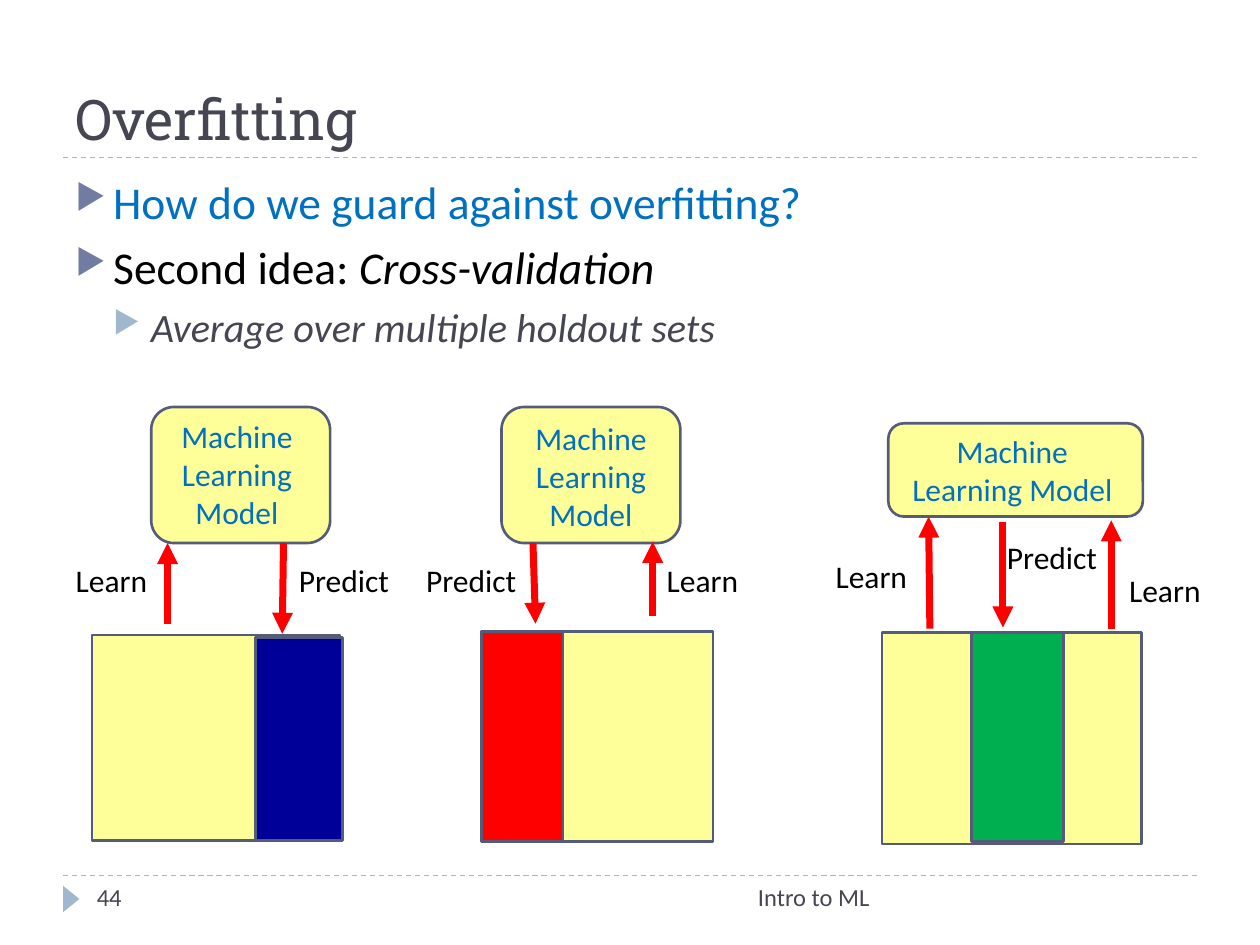
import dataclasses

import lxml.etree
import pptx
import pptx.dml.color
import pptx.enum.dml
import pptx.enum.shapes
import pptx.enum.text
import pptx.oxml.ns
import pptx.util

PX = 9144  # EMU in one px, 100 px to the inch
ALIGN = pptx.enum.text.PP_ALIGN
SHAPE = pptx.enum.shapes.MSO_SHAPE


@dataclasses.dataclass(frozen=True)
class Theme:
    body_font: str = "Calibri"
    title_font: str = "Roboto Slab"
    title_size: int = 32
    body_size: int = 26
    sub_size: int = 23
    label_size: int = 18
    footer_size: int = 14
    ink: str = "464653"
    black: str = "000000"
    blue: str = "0070C0"
    pale: str = "9FB8CD"
    bullet: str = "727CA3"
    outline: str = "545C79"
    yellow: str = "FFFF00"
    red: str = "FF0000"
    navy: str = "000099"
    green: str = "00B050"


T = Theme()


def rgb(color):
    return pptx.dml.color.RGBColor.from_string(color)


def add_xml(parent, tag, **attrs):
    return lxml.etree.SubElement(parent, pptx.oxml.ns.qn(tag), attrs)


def set_font(p, size, color, name=T.body_font):
    p.font.name, p.font.size = name, pptx.util.Pt(size)
    p.font.color.rgb = rgb(color)


def add_frame(s, x, y, w, h):
    tf = s.shapes.add_textbox(x * PX, y * PX, w * PX, h * PX).text_frame
    tf.word_wrap = True
    return tf


def add_text(s, x, y, w, h, text, size, color, align=ALIGN.LEFT, name=T.body_font):
    tf = add_frame(s, x, y, w, h)
    p = tf.paragraphs[0]
    p.text, p.alignment = text, align
    set_font(p, size, color, name)
    return tf


def add_box(s, kind, x, y, w, h, color, alpha=None, line=T.outline):
    sp = s.shapes.add_shape(kind, x * PX, y * PX, w * PX, h * PX)
    sp.shadow.inherit = False
    sp.fill.solid()
    sp.fill.fore_color.rgb = rgb(color)
    if alpha:
        clr = sp.fill._xPr.find(".//" + pptx.oxml.ns.qn("a:srgbClr"))
        add_xml(clr, "a:alpha", val=str(alpha * 1000))
    if line:
        sp.line.color.rgb = rgb(line)
        sp.line.width = pptx.util.Pt(1.5)
    else:
        sp.line.fill.background()
    return sp


def add_line(s, x1, y1, x2, y2, color, width):
    ln = s.shapes.add_connector(pptx.enum.shapes.MSO_CONNECTOR.STRAIGHT,
                                x1 * PX, y1 * PX, x2 * PX, y2 * PX)
    ln.line.color.rgb = rgb(color)
    ln.line.width = pptx.util.Pt(width)
    add_xml(ln._element.spPr, "a:effectLst")
    return ln


def add_rule(s, x, y, w):
    ln = add_line(s, x, y, x + w, y, T.pale, 0.75)
    ln.line.dash_style = pptx.enum.dml.MSO_LINE.DASH


def add_arrow(s, x1, y1, x2, y2):
    ln = add_line(s, x1, y1, x2, y2, T.red, 4)
    add_xml(ln.line._get_or_add_ln(), "a:tailEnd", type="triangle")


def add_title(s, x, y, w, h):
    tf = add_text(s, x, y, w, h, "Overfitting", T.title_size, T.ink, name=T.title_font)
    tf.vertical_anchor = pptx.enum.text.MSO_ANCHOR.BOTTOM
    add_rule(s, x, y + h, w)


def add_bullets(s, x, y, w, h):
    """Each item is level, size, colour, then runs of (text, italic)."""
    items = [
        (0, T.body_size, T.blue, [("How do we guard against overfitting?", False)]),
        (0, T.body_size, T.black, [("Second idea: ", False), ("Cross-validation", True)]),
        (1, T.sub_size, T.ink, [("Average over multiple holdout sets", True)]),
    ]
    tf = add_frame(s, x, y, w, h)
    for i, (level, size, color, runs) in enumerate(items):
        p = tf.add_paragraph() if i else tf.paragraphs[0]
        p.level = level
        p.space_before = pptx.util.Pt(6 - level)
        pPr = p._p.get_or_add_pPr()
        pPr.set("marL", str(30 * (level + 1) * PX))
        pPr.set("indent", str(-30 * PX))
        clr = add_xml(pPr, "a:buClr")
        add_xml(clr, "a:srgbClr", val=T.pale if level else T.bullet)
        add_xml(pPr, "a:buSzPct", val="76000")
        add_xml(pPr, "a:buChar", char="▶")
        set_font(p, size, color)
        for text, italic in runs:
            r = p.add_run()
            r.text, r.font.italic = text, italic


def add_fold(s, x, y, model, caption, flows, data, holdout, color):
    """A model above its data; all parts are offsets from (x, y).

    A flow is a label, the label's place, and the ends of its arrow.
    """
    def place(box):
        return x + box[0], y + box[1], *box[2:]

    add_box(s, SHAPE.ROUNDED_RECTANGLE, *place(model), T.yellow, 40)
    add_text(s, *place(caption), "Machine Learning Model",
             T.label_size, T.blue, ALIGN.CENTER)
    for label, left, top, x1, y1, x2, y2 in flows:
        width = 96 if label == "Predict" else 85
        add_text(s, x + left, y + top, width, 40, label,
                 T.label_size, T.black, ALIGN.CENTER)
        add_arrow(s, x + x1, y + y1, x + x2, y + y2)
    add_box(s, SHAPE.RECTANGLE, *place(data), T.yellow, 40)
    add_box(s, SHAPE.RECTANGLE, *place(holdout), color)


def add_footer(s, x, y, w):
    add_rule(s, x, y, w)
    mark = add_box(s, SHAPE.ISOSCELES_TRIANGLE, x - 4, y + 12, 21, 13, T.pale, line=None)
    mark.rotation = 90
    add_text(s, x + 17, y, 217, 40, "44", T.footer_size, T.ink)
    add_text(s, x + 267, y, 383, 40, "Intro to ML", T.footer_size, T.ink, ALIGN.RIGHT)


def main():
    prs = pptx.Presentation()
    prs.slide_width, prs.slide_height = 1000 * PX, 750 * PX
    s = prs.slides.add_slide(prs.slide_layouts[6])
    add_title(s, 50, 17, 900, 108)
    add_bullets(s, 50, 133, 900, 558)
    add_fold(s, 46, 323, (74, 0, 142, 108), (71, 3, 142, 101),
             [("Learn", 0, 117, 87, 172, 87, 108),
              ("Predict", 179, 117, 179, 108, 178, 180)],
             (27, 181, 197, 163), (157, 183, 69, 161), T.navy)
    add_fold(s, 326, 323, (72, 0, 142, 108), (72, 5, 142, 101),
             [("Learn", 189, 117, 192, 166, 192, 107),
              ("Predict", 0, 117, 97, 108, 99, 172)],
             (56, 178, 184, 167), (56, 178, 65, 167), T.red)
    add_fold(s, 649, 336, (56, 0, 202, 74), (58, 2, 193, 71),
             [("Learn", 0, 101, 89, 163, 88, 74),
              ("Predict", 138, 86, 147, 78, 147, 162),
              ("Learn", 233, 112, 233, 163, 233, 77)],
             (51, 166, 206, 168), (122, 166, 73, 166), T.green)
    add_footer(s, 50, 695, 900)
    prs.save("out.pptx")


if __name__ == "__main__":
    main()
